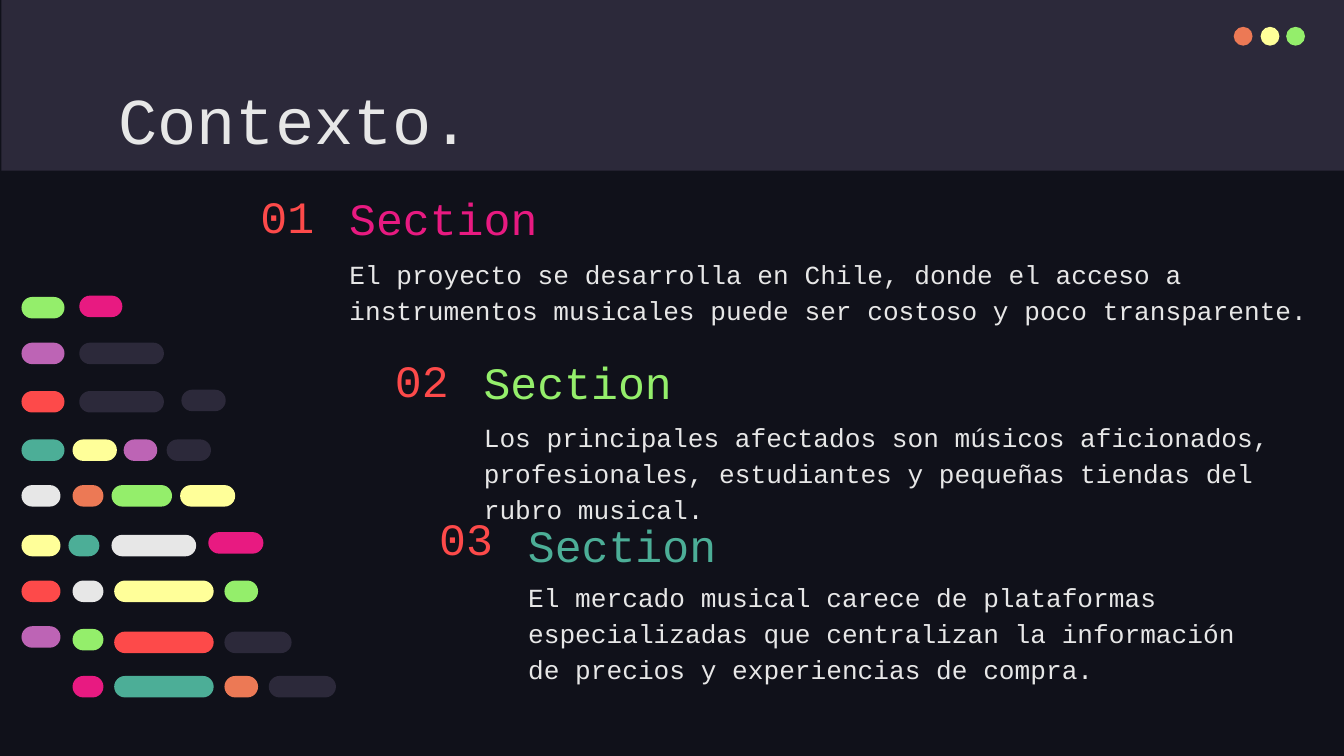
import pptx
import pptx.dml.color
import pptx.enum.shapes
import pptx.enum.text
import pptx.oxml
import pptx.oxml.ns
import pptx.util
from pptx.util import Inches

FONT = "Courier New"
NIGHT, SLATE, WHITE = "10111A", "2C293A", "E7E7E7"
RED, ORANGE, YELLOW, GREEN = "FD4A4A", "EC7955", "FFFF99", "94EE6B"
TEAL, PINK, PURPLE = "4CAE97", "E81A81", "BD64B5"

TITLE = "Contexto."
SECTIONS = [
    {"number": "01", "heading": "Section", "colour": PINK, "left": 2.5, "top": 1.39,
     "number_height": 0.43, "body_top": 1.79, "body_width": 7.5,
     "body": "El proyecto se desarrolla en Chile, donde el acceso a instrumentos "
             "musicales puede ser costoso y poco transparente."},
    {"number": "02", "heading": "Section", "colour": GREEN, "left": 3.5, "top": 2.61,
     "number_height": 0.43, "body_top": 3, "body_width": 6.16,
     "body": "Los principales afectados son músicos aficionados, profesionales, "
             "estudiantes y pequeñas tiendas del rubro musical."},
    {"number": "03", "heading": "Section", "colour": TEAL, "left": 3.83, "top": 3.82,
     "number_height": 0.36, "body_top": 4.19, "body_width": 5.8,
     "body": "El mercado musical carece de plataformas especializadas que centralizan "
             "la información de precios y experiencias de compra."},
]
WINDOW_DOTS = [(9.18, ORANGE), (9.38, YELLOW), (9.57, GREEN)]
CODE_ROWS = [
    (2.2, [(0.59, 0.32, PINK)]),
    (2.21, [(0.16, 0.32, GREEN)]),
    (2.55, [(0.16, 0.32, PURPLE), (0.59, 0.63, SLATE)]),
    (2.9, [(1.35, 0.33, SLATE)]),
    (2.91, [(0.16, 0.32, RED), (0.59, 0.63, SLATE)]),
    (3.27, [(0.16, 0.32, TEAL), (0.54, 0.33, YELLOW), (0.92, 0.25, PURPLE),
            (1.24, 0.33, SLATE)]),
    (3.61, [(0.16, 0.29, WHITE), (0.54, 0.23, ORANGE), (0.83, 0.45, GREEN),
            (1.34, 0.41, YELLOW)]),
    (3.96, [(1.55, 0.41, PINK)]),
    (3.98, [(0.16, 0.29, YELLOW), (0.51, 0.23, TEAL), (0.83, 0.63, WHITE)]),
    (4.32, [(0.16, 0.29, RED), (0.54, 0.23, WHITE), (0.85, 0.74, YELLOW),
            (1.67, 0.25, GREEN)]),
    (4.66, [(0.16, 0.29, PURPLE)]),
    (4.68, [(0.54, 0.23, GREEN)]),
    (4.7, [(0.85, 0.74, RED), (1.67, 0.5, SLATE)]),
    (5.03, [(0.54, 0.23, PINK), (0.85, 0.74, TEAL), (1.67, 0.25, ORANGE),
            (2, 0.5, SLATE)]),
]

SHAPE = pptx.enum.shapes.MSO_SHAPE
ANCHOR = pptx.enum.text.MSO_ANCHOR


def paint(target, colour):
    if hasattr(target, "solid"):
        target.solid()
        target = target.fore_color
    target.rgb = pptx.dml.color.RGBColor.from_string(colour)


def add_block(shapes, preset, left, top, width, height, colour):
    shape = shapes.add_shape(preset, Inches(left), Inches(top), Inches(width), Inches(height))
    shape.shadow.inherit = False
    paint(shape.fill, colour)
    shape.line.fill.background()
    return shape


def write(shape, box, text, size, colour, anchor=ANCHOR.TOP, spacing=1.0):
    shape.left, shape.top, shape.width, shape.height = map(Inches, box)
    frame = shape.text_frame
    frame.text = text
    frame.word_wrap = True
    frame.auto_size = pptx.enum.text.MSO_AUTO_SIZE.NONE
    frame.vertical_anchor = anchor
    frame.margin_left = frame.margin_right = Inches(0.1)
    frame.margin_top = frame.margin_bottom = Inches(0.1)
    paragraph = frame.paragraphs[0]
    properties = paragraph._p.get_or_add_pPr()
    properties.set("marL", "0")
    properties.set("indent", "0")
    properties.append(pptx.oxml.parse_xml(f"<a:buNone {pptx.oxml.ns.nsdecls('a')}/>"))
    paragraph.alignment = pptx.enum.text.PP_ALIGN.LEFT
    paragraph.line_spacing = spacing
    paragraph.space_before = pptx.util.Pt(0)
    paragraph.font.name = FONT
    paragraph.font.size = pptx.util.Pt(size)
    paragraph.font.bold = False
    paint(paragraph.font.color, colour)


def add_section(slide, placeholder, section):
    left, top = section["left"], section["top"]
    write(placeholder, (left, section["body_top"], section["body_width"], 0.63),
          section["body"], 14, WHITE, spacing=1.15)
    number = slide.shapes.add_textbox(0, 0, 0, 0)
    write(number, (left - 0.66, top, 0.66, section["number_height"]),
          section["number"], 24, RED, ANCHOR.MIDDLE)
    heading = slide.shapes.add_textbox(0, 0, 0, 0)
    write(heading, (left, top, 4.6, 0.53), section["heading"], 24,
          section["colour"], ANCHOR.BOTTOM, 1.15)


def main():
    presentation = pptx.Presentation()
    presentation.slide_width = Inches(10)
    presentation.slide_height = Inches(10) * 9 // 16
    slide = presentation.slides.add_slide(presentation.slide_layouts.get_by_name("Comparison"))
    paint(slide.background.fill, NIGHT)

    band = add_block(slide.shapes, SHAPE.RECTANGLE, 0.01, 0, 10, 1.27, SLATE)
    slide.shapes._spTree.insert(2, band._element)
    write(slide.shapes.title, (0.78, 0.49, 8.43, 0.63), TITLE, 35, WHITE)

    *bodies, spare = list(slide.placeholders)[1:]
    spare._element.getparent().remove(spare._element)
    for placeholder, section in zip(bodies, SECTIONS):
        add_section(slide, placeholder, section)

    dots = slide.shapes.add_group_shape()
    for left, colour in WINDOW_DOTS:
        add_block(dots.shapes, SHAPE.OVAL, left, 0.2, 0.14, 0.14, colour)

    code = slide.shapes.add_group_shape()
    for top, pills in CODE_ROWS:
        for left, width, colour in pills:
            pill = add_block(code.shapes, SHAPE.ROUNDED_RECTANGLE, left, top, width, 0.16, colour)
            pill.adjustments[0] = 0.5

    presentation.save("out.pptx")


if __name__ == "__main__":
    main()
